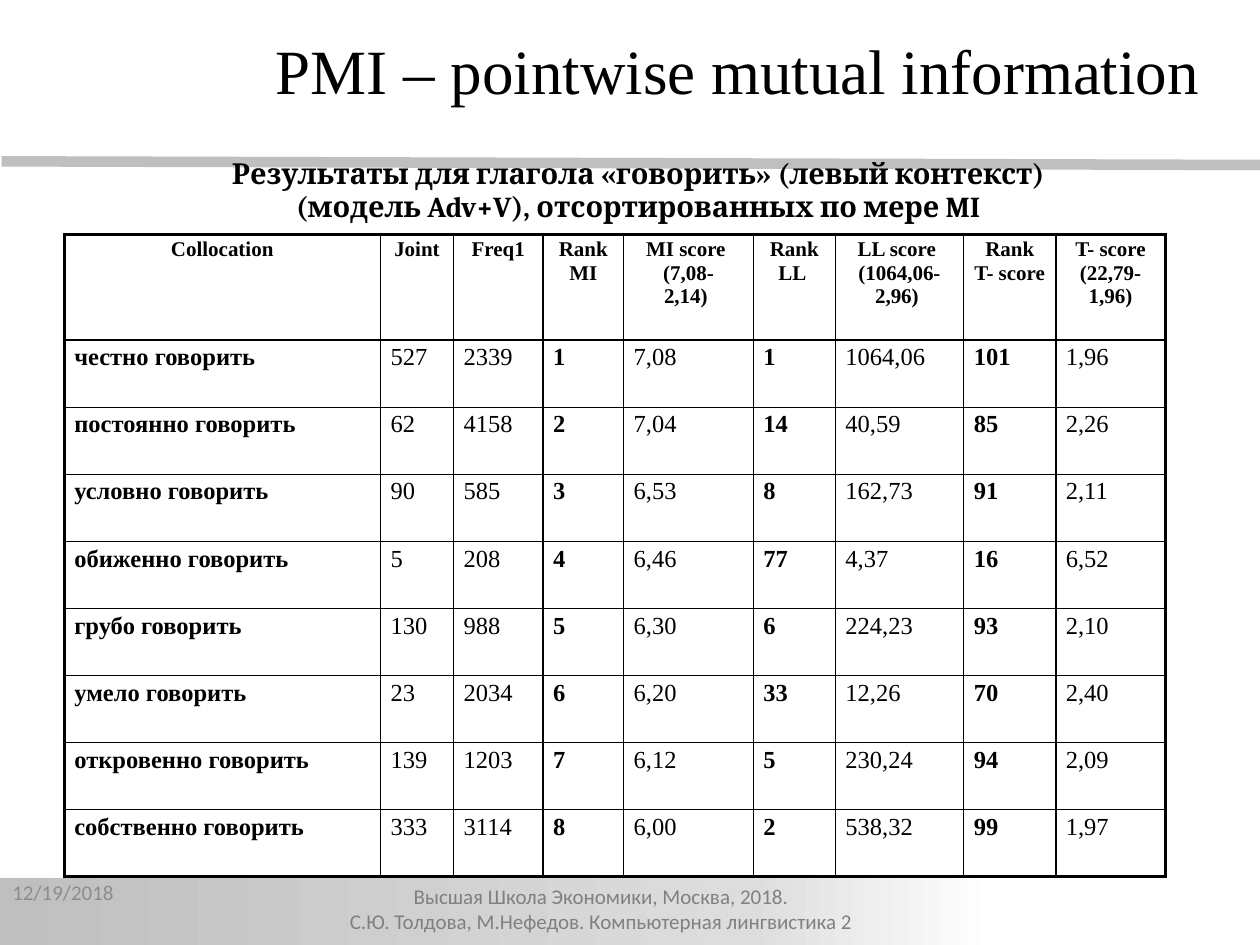
from copy import deepcopy

from lxml import etree
from pptx import Presentation, util as u
from pptx.dml import color
from pptx.enum import shapes, text
from pptx.oxml import ns, parse_xml

Pt = u.Pt
COLORS = {
    "black": "000000",
    "rule": "BFBFBF",
    "band": "DDDDDD",
    "white": "FFFFFF",
    "footer": "808080",
    "date": "8C8C8C",
}
CENTER = text.PP_ALIGN.CENTER
LEFT = text.PP_ALIGN.LEFT
MIDDLE = text.MSO_ANCHOR.MIDDLE
TOP = text.MSO_ANCHOR.TOP


def write_text(frame, content, font="Times New Roman", size=12, bold=False, ink="black",
               align=LEFT, anchor=TOP, margins=(7.2, 3.6, 7.2, 3.6), spacing=None, before=0):
    frame.word_wrap = True
    frame.vertical_anchor = anchor
    frame.margin_left, frame.margin_top, frame.margin_right, frame.margin_bottom = map(Pt, margins)
    frame.text = content
    for paragraph in frame.paragraphs:
        paragraph.alignment = align
        paragraph.line_spacing = spacing
        paragraph.space_before = Pt(before)
        for run in paragraph.runs:
            run.font.name = font
            run.font.size = Pt(size)
            run.font.bold = bold
            run.font.color.rgb = color.RGBColor.from_string(COLORS[ink])
        for line_break in paragraph._p.findall(ns.qn("a:br")):
            line_break.append(deepcopy(run._r.rPr))


def set_borders(cell, widths):
    properties = cell._tc.get_or_add_tcPr()
    for index, (side, width) in enumerate(widths.items()):
        border = parse_xml(
            f'<a:{side} {ns.nsdecls("a")} w="{Pt(width)}"><a:solidFill>'
            f'<a:srgbClr val="{COLORS["black"]}"/></a:solidFill></a:{side}>')
        properties.insert(index, border)


presentation = Presentation()
presentation.slide_width = Pt(720)
presentation.slide_height = Pt(540)
slide = presentation.slides.add_slide(presentation.slide_layouts[6])

rule = slide.shapes.add_connector(shapes.MSO_CONNECTOR.STRAIGHT, Pt(0.9), Pt(92.2), Pt(721.2), Pt(94.3))
rule.line.color.rgb = color.RGBColor.from_string(COLORS["rule"])
rule.line.width = Pt(6)
etree.SubElement(rule._element.spPr, ns.qn("a:effectLst"))

band = slide.shapes.add_shape(shapes.MSO_SHAPE.RECTANGLE, Pt(-0.7), Pt(501.8), Pt(570.2), Pt(41))
band.shadow.inherit = False
band.line.fill.background()
band.fill.gradient()
band.fill.gradient_angle = 0
stops = band._element.spPr.find(".//" + ns.qn("a:gsLst"))
for stop in list(stops):
    stops.remove(stop)
for position, name in ((0, "rule"), (75, "band"), (100, "white")):
    stop = etree.SubElement(stops, ns.qn("a:gs"), pos=str(position * 1000))
    etree.SubElement(stop, ns.qn("a:srgbClr"), val=COLORS[name])

footer = slide.shapes.add_textbox(Pt(137.5), Pt(501.1), Pt(414.7), Pt(32.4))
write_text(footer.text_frame,
           "Высшая Школа Экономики, Москва, 2018. \n"
           "С.Ю. Толдова, М.Нефедов. Компьютерная лингвистика 2 ",
           font="Calibri", ink="footer", align=CENTER)

rows = [
    ("Collocation", "Joint", "Freq1", "Rank\vMI", "MI score \v(7,08-\v2,14) ", "Rank\vLL ",
     "LL score \v(1064,06-2,96) ", "Rank\vT- score", "T- score\v(22,79-\v1,96)"),
    ("честно говорить", "527", "2339", "1", "7,08", "1", "1064,06", "101", "1,96"),
    ("постоянно говорить", "62", "4158", "2", "7,04", "14", "40,59", "85", "2,26"),
    ("условно говорить", "90", "585", "3", "6,53", "8", "162,73", "91", "2,11"),
    ("обиженно говорить", "5", "208", "4", "6,46", "77", "4,37", "16", "6,52"),
    ("грубо говорить", "130", "988", "5", "6,30", "6", "224,23", "93", "2,10"),
    ("умело говорить", "23", "2034", "6", "6,20", "33", "12,26", "70", "2,40"),
    ("откровенно говорить", "139", "1203", "7", "6,12", "5", "230,24", "94", "2,09"),
    ("собственно говорить", "333", "3114", "8", "6,00", "2", "538,32", "99", "1,97"),
]
column_widths = [180.7, 41.8, 51.1, 46.1, 74.2, 46.8, 73.4, 52.6, 62.6]
row_heights = [60.5] + [38.35] * 8
bold_columns = {0, 3, 5, 7}

table = slide.shapes.add_table(len(rows), len(column_widths), Pt(36.7), Pt(133.9),
                               Pt(sum(column_widths)), Pt(sum(row_heights))).table
table.first_row = False
table.horz_banding = False
for column, width in zip(table.columns, column_widths):
    column.width = Pt(width)
for row, height in zip(table.rows, row_heights):
    row.height = Pt(height)

last_row = len(rows) - 1
last_column = len(column_widths) - 1
for row_index, values in enumerate(rows):
    header = row_index == 0
    size = 12 if header else 14
    for column_index, value in enumerate(values):
        cell = table.cell(row_index, column_index)
        write_text(cell.text_frame, value, size=size, bold=header or column_index in bold_columns,
                   align=CENTER if header else LEFT, before=size * 0.2)
        cell._tc.txBody.bodyPr.attrib.clear()
        cell.margin_left = cell.margin_right = Pt(5.76)
        cell.margin_top = cell.margin_bottom = Pt(2.16)
        cell.vertical_anchor = TOP
        cell.fill.background()
        set_borders(cell, {
            "lnL": 2.25 if column_index == 0 else 1,
            "lnR": 2.25 if column_index == last_column else 1,
            "lnT": 2.25 if header else 1,
            "lnB": 2.25 if row_index == last_row else 1,
        })

subtitle = slide.shapes.add_textbox(Pt(121.7), Pt(83.5), Pt(486), Pt(50.4))
write_text(subtitle.text_frame,
           "Результаты для глагола «говорить» (левый контекст) "
           "(модель Adv+V), отсортированных по мере MI",
           font="Cambria", size=16.5, bold=True, align=CENTER, anchor=MIDDLE,
           margins=(0, 1.44, 0, 0), spacing=0.95, before=8.2)
subtitle.text_frame.paragraphs[0].space_after = Pt(8.2)

date = slide.shapes.add_textbox(Pt(0), Pt(491.8), Pt(167.8), Pt(36))
write_text(date.text_frame, "12/19/2018", font="Calibri", ink="date", anchor=MIDDLE)

title = slide.shapes.add_textbox(Pt(150.5), Pt(14.4), Pt(555.8), Pt(51.1))
write_text(title.text_frame, "PMI – pointwise mutual information", size=36)

presentation.save("out.pptx")
